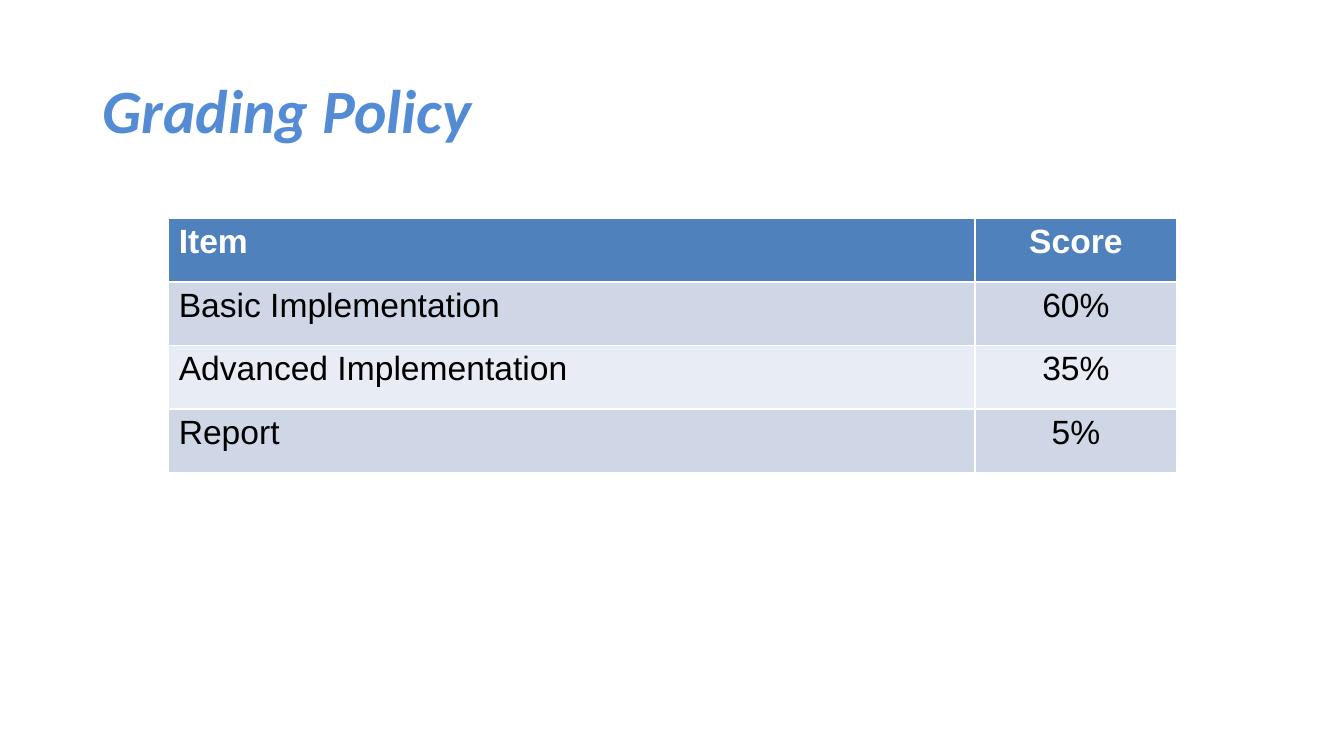
from pptx import Presentation
from pptx.dml.color import RGBColor
from pptx.enum.text import MSO_ANCHOR, MSO_AUTO_SIZE, PP_ALIGN
from pptx.util import Pt

TITLE_BLUE = RGBColor(0x53, 0x8C, 0xD5)
HEADER_BLUE = RGBColor(0x4F, 0x81, 0xBD)
BAND_DARK = RGBColor(0xCF, 0xD7, 0xE7)
BAND_LIGHT = RGBColor(0xE8, 0xEC, 0xF4)
WHITE = RGBColor(0xFF, 0xFF, 0xFF)
BLACK = RGBColor(0x00, 0x00, 0x00)

GRADES = [
    ("Item", "Score"),
    ("Basic Implementation", "60%"),
    ("Advanced Implementation", "35%"),
    ("Report", "5%"),
]
COLUMN_WIDTHS = (Pt(576), Pt(144))
COLUMN_ALIGNMENTS = (PP_ALIGN.LEFT, PP_ALIGN.CENTER)
ROW_HEIGHT = Pt(45.4)


def write_text(frame, text, *, font, size, color, bold=False, italic=False,
               align=PP_ALIGN.LEFT, line_spacing=1.0):
    para = frame.paragraphs[0]
    para.alignment = align
    para.line_spacing = line_spacing
    span = para.add_run()
    span.text = text
    span.font.name = font
    span.font.size = Pt(size)
    span.font.bold = bold
    span.font.italic = italic
    span.font.color.rgb = color


deck = Presentation()
deck.slide_width, deck.slide_height = Pt(960), Pt(540)
page = deck.slides.add_slide(deck.slide_layouts.get_by_name("Title Only"))

title = page.shapes.title
title.left, title.top, title.width, title.height = Pt(66), Pt(28.75), Pt(828), Pt(104.4)
title.text_frame.auto_size = MSO_AUTO_SIZE.NONE
title.text_frame.vertical_anchor = MSO_ANCHOR.MIDDLE
write_text(title.text_frame, "Grading Policy", font="Calibri", size=44,
           color=TITLE_BLUE, bold=True, italic=True, line_spacing=0.9)

# The default table style supplies the white borders and the thicker header rule.
table = page.shapes.add_table(
    len(GRADES), len(COLUMN_WIDTHS), Pt(120.5), Pt(156),
    sum(COLUMN_WIDTHS), ROW_HEIGHT * len(GRADES)).table
for column, width in zip(table.columns, COLUMN_WIDTHS):
    column.width = width

for row_index, entries in enumerate(GRADES):
    is_header = row_index == 0
    if is_header:
        row_fill = HEADER_BLUE
    else:
        row_fill = BAND_DARK if row_index % 2 else BAND_LIGHT
    table.rows[row_index].height = ROW_HEIGHT
    for column_index, entry in enumerate(entries):
        cell = table.cell(row_index, column_index)
        cell.fill.solid()
        cell.fill.fore_color.rgb = row_fill
        write_text(cell.text_frame, entry, font="Arial", size=24, bold=is_header,
                   color=WHITE if is_header else BLACK,
                   align=COLUMN_ALIGNMENTS[column_index])

deck.save("out.pptx")
